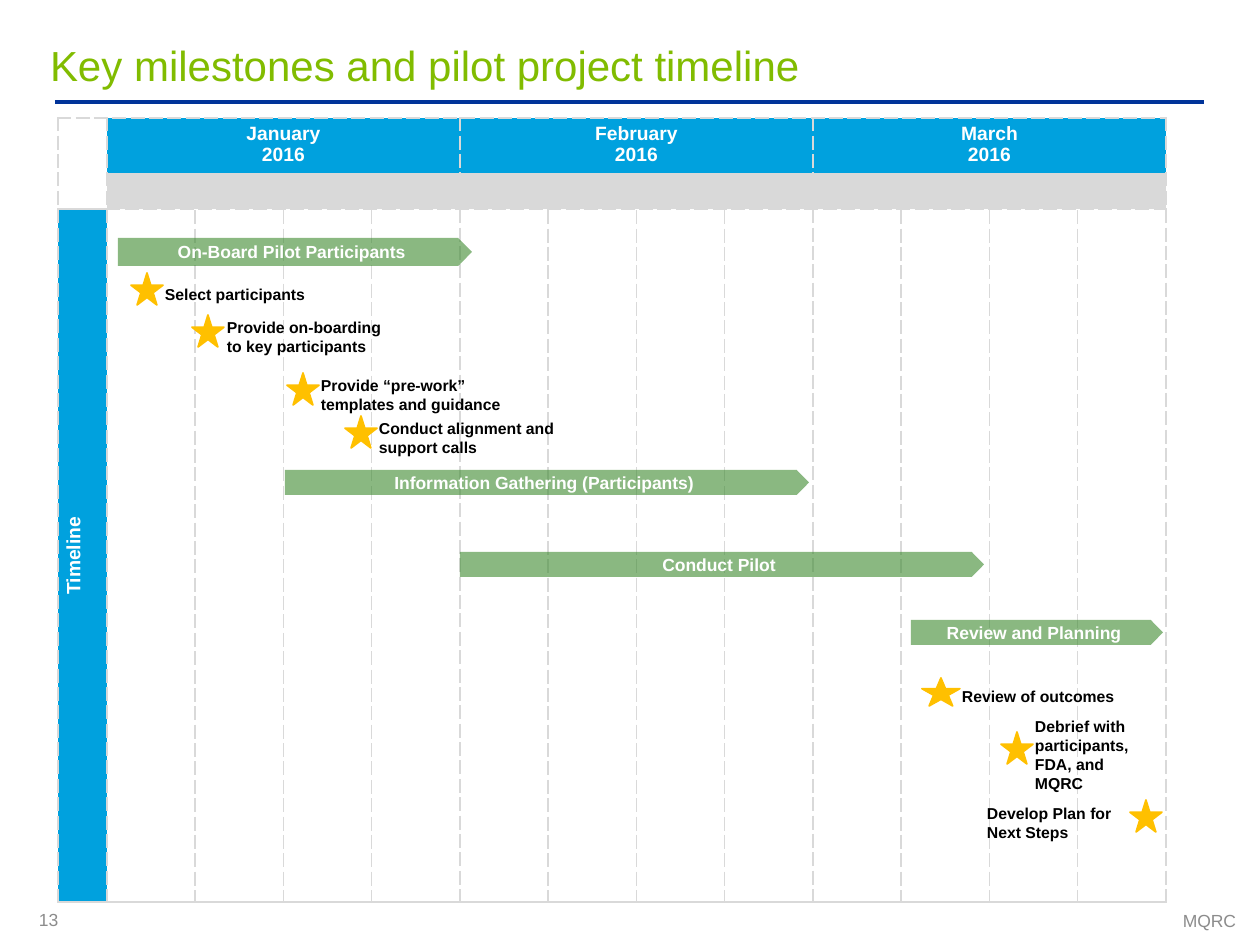
import pptx
import pptx.util
import pptx.dml.color
import pptx.enum.shapes
import pptx.enum.text
import pptx.oxml
import pptx.oxml.ns

RGBColor = pptx.dml.color.RGBColor
LIME = RGBColor(0x81, 0xBC, 0x00)
NAVY = RGBColor(0x00, 0x33, 0x99)
BLUE = RGBColor(0x00, 0xA1, 0xDE)
GREEN = RGBColor(0x3C, 0x8A, 0x2E)
GOLD = RGBColor(0xFF, 0xC0, 0x00)
BLACK = RGBColor(0, 0, 0)
WHITE = RGBColor(0xFF, 0xFF, 0xFF)
PALE = RGBColor(0xD9, 0xD9, 0xD9)
GRAY = RGBColor(0x8C, 0x8C, 0x8C)
ALIGN = pptx.enum.text.PP_ALIGN
ANCHOR = pptx.enum.text.MSO_ANCHOR
SHAPE = pptx.enum.shapes.MSO_SHAPE

HEADING = "Key milestones and pilot project timeline"
PAGE = "13"
ORGANIZATION = "MQRC"
MONTHS = ["January", "February", "March"]
YEAR = "2016"
SIDE_LABEL = "Timeline"
PERIODS_PER_MONTH = 4
PHASES = [
    ("On-Board Pilot Participants", (118, 238, 354, 28)),
    ("Information Gathering (Participants)", (285, 470, 524, 25)),
    ("Conduct Pilot", (460, 552, 524, 25)),
    ("Review and Planning", (911, 620, 252, 25)),
]
MILESTONES = [
    ("Select participants", (131, 273, 32, 32), (165, 285, 179, 19)),
    ("Provide on-boarding to key participants", (192, 315, 32, 32), (227, 318, 163, 38)),
    ("Provide “pre-work” templates and guidance", (287, 373, 32, 32), (321, 376, 214, 38)),
    ("Conduct alignment and support calls", (345, 416, 32, 32), (379, 419, 214, 38)),
    ("Review of outcomes", (922, 678, 38, 28), (962, 687, 165, 19)),
    (f"Debrief with participants, FDA, and {ORGANIZATION}", (1001, 732, 32, 32), (1035, 716, 105, 77)),
    ("Develop Plan for Next Steps", (1130, 800, 32, 32), (987, 804, 152, 38)),
]
GRID_LEFT, GRID_TOP, GRID_RIGHT = 58, 118, 1166
SIDE_WIDTH = 49
ROW_HEIGHTS = [54, 35, 693]


def px(value):
    return pptx.util.Emu(round(value * 914400 / 126))


def write(frame, text, size, color, bold=False, align=ALIGN.LEFT, anchor=ANCHOR.MIDDLE, wrap=True):
    frame.margin_left = frame.margin_right = frame.margin_top = frame.margin_bottom = 0
    frame.word_wrap = wrap
    frame.vertical_anchor = anchor
    frame.text = text
    for paragraph in frame.paragraphs:
        paragraph.alignment = align
        paragraph.font.size = pptx.util.Pt(size)
        for run in paragraph.runs:
            run.font.name = "Arial"
            run.font.size = pptx.util.Pt(size)
            run.font.bold = bold
            run.font.color.rgb = color


def add_label(box, text, size, color, **style):
    label = slide.shapes.add_textbox(*map(px, box))
    write(label.text_frame, text, size, color, **style)


def add_mark(preset, box, color):
    mark = slide.shapes.add_shape(preset, *map(px, box))
    mark.shadow.inherit = False
    mark.fill.solid()
    mark.fill.fore_color.rgb = color
    return mark


def style_cell(cell, fill, solid_sides):
    cell.margin_left = cell.margin_right = 0
    cell.margin_top = cell.margin_bottom = px(5)
    properties = cell._tc.get_or_add_tcPr()
    for side in "LRTB":
        dash = "solid" if side in solid_sides else "sysDash"
        properties.append(pptx.oxml.parse_xml(
            f'<a:ln{side} {pptx.oxml.ns.nsdecls("a")} w="12700"><a:solidFill>'
            f'<a:srgbClr val="{PALE}"/></a:solidFill><a:prstDash val="{dash}"/></a:ln{side}>'))
    cell.fill.solid()
    cell.fill.fore_color.rgb = fill
    cell.text_frame.paragraphs[0]._p.get_or_add_endParaRPr().set("sz", "800")


def write_cell(cell, text):
    write(cell.text_frame, text, 11, WHITE, bold=True, align=ALIGN.CENTER)
    cell.margin_top = cell.margin_bottom = px(5)


presentation = pptx.Presentation()
presentation.slide_width, presentation.slide_height = px(1260), px(945)
slide = presentation.slides.add_slide(presentation.slide_layouts[5])

heading = slide.shapes.title
heading.left, heading.top, heading.width, heading.height = map(px, (50, 40, 1159, 171))
write(heading.text_frame, HEADING, 24, LIME, anchor=ANCHOR.TOP)

rule = slide.shapes.add_connector(
    pptx.enum.shapes.MSO_CONNECTOR.STRAIGHT, *map(px, (55, 102, 1204, 102)))
rule.line.color.rgb = NAVY
rule.line.width = pptx.util.Pt(2.25)
rule._element.spPr.append(pptx.oxml.parse_xml(f'<a:effectLst {pptx.oxml.ns.nsdecls("a")}/>'))

add_label((39, 903, 47, 34), PAGE, 10, GRAY, wrap=False)
add_label((861, 910, 375, 21), ORGANIZATION, 10, GRAY, align=ALIGN.RIGHT)

periods = len(MONTHS) * PERIODS_PER_MONTH
timeline = slide.shapes.add_table(
    len(ROW_HEIGHTS), periods + 1, px(GRID_LEFT), px(GRID_TOP),
    px(GRID_RIGHT - GRID_LEFT), px(sum(ROW_HEIGHTS))).table
timeline.first_row = timeline.horz_banding = False
for row, height in zip(timeline.rows, ROW_HEIGHTS):
    row.height = px(height)
for index, column in enumerate(timeline.columns):
    column.width = px((GRID_RIGHT - GRID_LEFT - SIDE_WIDTH) / periods if index else SIDE_WIDTH)

row_fills = [BLUE, PALE, WHITE]
solid_sides = ["B", "T", "B"]
for r, row in enumerate(timeline.rows):
    for c, cell in enumerate(row.cells):
        if c:
            style_cell(cell, row_fills[r], solid_sides[r])
        else:
            style_cell(cell, BLUE if r == 2 else WHITE, "RTB" if r == 2 else "")

timeline.cell(0, 0).merge(timeline.cell(1, 0))
for index, month in enumerate(MONTHS):
    first = 1 + index * PERIODS_PER_MONTH
    timeline.cell(0, first).merge(timeline.cell(0, first + PERIODS_PER_MONTH - 1))
    write_cell(timeline.cell(0, first), f"{month}\n{YEAR}")
side = timeline.cell(2, 0)
write_cell(side, SIDE_LABEL)
side.vertical_anchor = ANCHOR.MIDDLE
side._tc.get_or_add_tcPr().set("vert", "vert270")

for name, box in PHASES:
    bar = add_mark(SHAPE.PENTAGON, box, GREEN)
    bar.adjustments[0] = 0.49
    bar.line.fill.background()
    tint = bar._element.spPr.find(".//" + pptx.oxml.ns.qn("a:srgbClr"))
    tint.append(pptx.oxml.parse_xml(f'<a:alpha {pptx.oxml.ns.nsdecls("a")} val="60000"/>'))
    write(bar.text_frame, name, 10, WHITE, bold=True, align=ALIGN.CENTER)

for name, star_box, label_box in MILESTONES:
    star = add_mark(SHAPE.STAR_5_POINT, star_box, GOLD)
    star.line.color.rgb = GOLD
    star.line.width = pptx.util.Pt(1)
    add_label(label_box, name, 9, BLACK, bold=True)

presentation.save("out.pptx")
